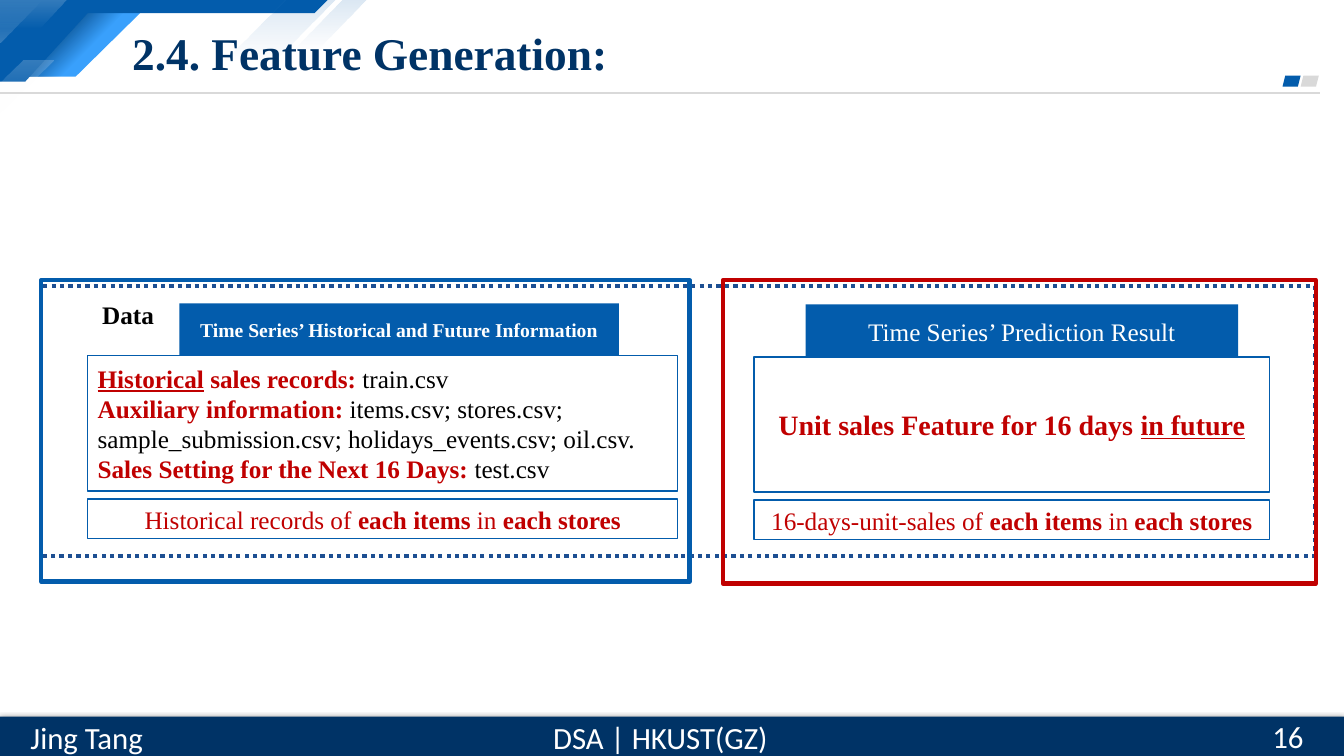
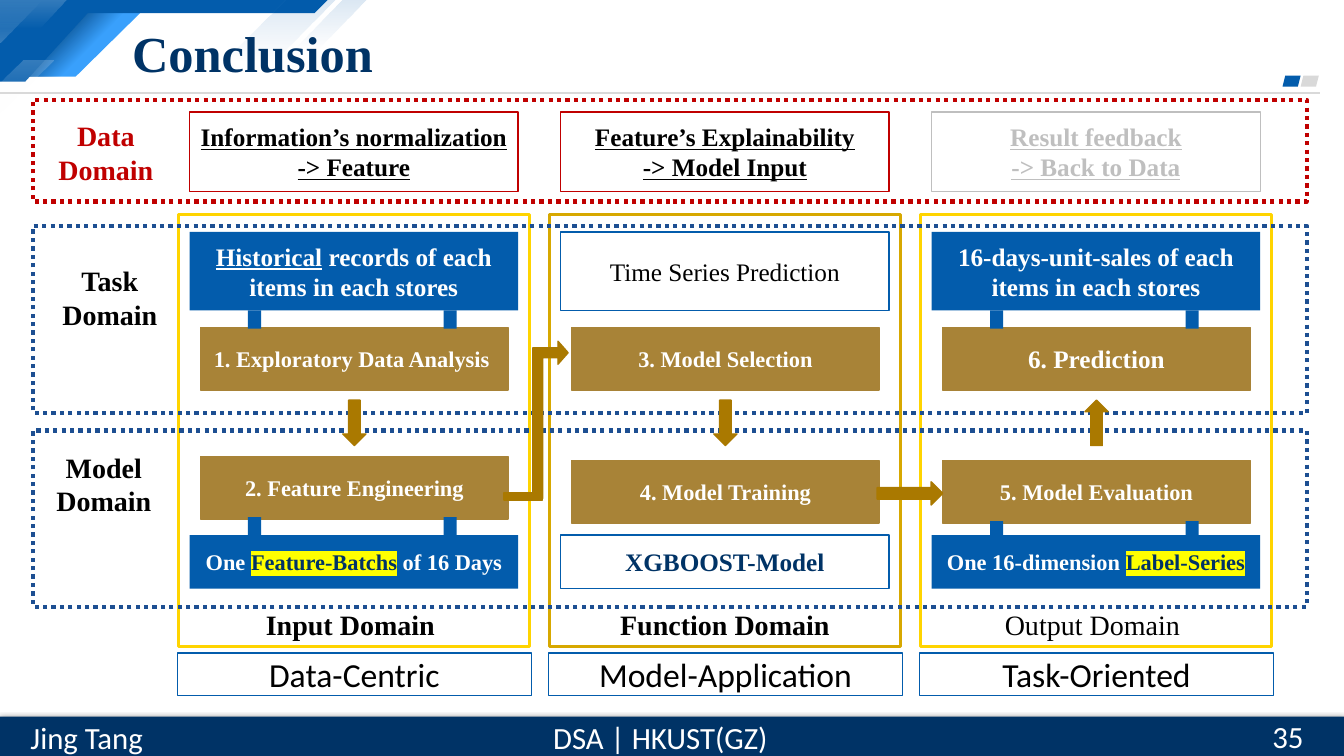
from pptx import Presentation
from pptx.dml.color import RGBColor
from pptx.enum.dml import MSO_LINE
from pptx.enum.shapes import MSO_CONNECTOR, MSO_SHAPE
from pptx.enum.text import MSO_ANCHOR, MSO_AUTO_SIZE, PP_ALIGN
from pptx.oxml import parse_xml
from pptx.oxml.ns import nsdecls, qn
from pptx.util import Inches, Pt

BLUE = RGBColor(0x03, 0x5C, 0xAC)
SKY = RGBColor(0x39, 0xA0, 0xFC)
DEEP = RGBColor(0x02, 0x45, 0x81)
NAVY = RGBColor(0x00, 0x33, 0x66)
DOTTED_BLUE = RGBColor(0x1D, 0x4F, 0x92)
RED = RGBColor(0xC0, 0x00, 0x00)
YELLOW = RGBColor(0xFF, 0xD4, 0x00)
GOLD = RGBColor(0xD7, 0xA8, 0x00)
BROWN = RGBColor(0xA8, 0x83, 0x37)
ARROW = RGBColor(0xAA, 0x79, 0x00)
MARKER = RGBColor(0xFF, 0xFF, 0x00)
GRAY = RGBColor(0xBF, 0xBF, 0xBF)
LIGHT = RGBColor(0xD9, 0xD9, 0xD9)
WHITE = RGBColor(0xFF, 0xFF, 0xFF)
BLACK = RGBColor(0x00, 0x00, 0x00)
SERIF, SANS = "Times New Roman", "Calibri"

# Shared decoration: outline points, then a colour or a fade (stops, angle)
WHITE_FADE = ([(0, WHITE, 20), (100, WHITE, 0)], 90)
BLUE_FADE = ([(0, BLUE, 15), (100, BLUE, 0)], 90)
BLADE = [(0.84, 0.07), (1.45, 0.07), (0.75, 0.76), (0.16, 0.76)]
CORNER_OUTLINES = [
    (BLADE, SKY),
    (BLADE, ([(29, DEEP, 100), (57, DEEP, 0)], 45)),
    ([(0, 0), (3.25, 0), (3.12, 0.13), (0.87, 0.13), (0.25, 0.81), (0, 0.81)], BLUE),
    ([(0, 0), (0.66, 0), (0.39, 0.28), (0, 0.28)], WHITE_FADE),
    ([(2.84, 0), (3.33, 0), (2.72, 0.61), (2.22, 0.61)], BLUE_FADE),
    ([(3.4, 0), (3.64, 0), (3.15, 0.49), (2.91, 0.49)], BLUE_FADE),
    ([(0.23, 0.6), (0.53, 0.6), (0, 1.13), (0, 0.83)], WHITE_FADE),
]
FOOTER_TEXTS = [("DSA | HKUST(GZ)", (5.36, 7.08, 2.38, 0.47)),
                ("Jing Tang", (0.16, 7.08, 1.4, 0.47))]

# Box styles
BLUE_BOX = dict(fill=BLUE, color=WHITE, bold=True)
WHITE_BOX = dict(fill=WHITE, line=BLUE)
RED_TEXT_BOX = dict(WHITE_BOX, color=RED)
STEP_BOX = dict(fill=BROWN, line=BROWN, color=WHITE, bold=True, size=16)
DOTTED = dict(width=3, dash=MSO_LINE.ROUND_DOT)
LABEL = dict(bold=True, size=20)
ARROW_STYLE = dict(fill=ARROW, line=ARROW)

# Text is a list of paragraphs, each a list of (text, changes) runs
BOLD, PLAIN = dict(bold=True), dict(color=BLACK, bold=False)
UNDERLINED = dict(underline=True)
MARKED = dict(color=NAVY, highlight=MARKER)
FEATURE_BOXES = [
    ((1.78, 3.01, 4.36, 0.53), "Time Series’ Historical and Future Information",
     dict(BLUE_BOX, size=14)),
    ((7.99, 3.02, 4.29, 0.53), "Time Series’ Prediction Result",
     dict(BLUE_BOX, bold=False)),
    ((0.41, 2.84, 12.63, 2.68), "", dict(DOTTED, line=DOTTED_BLUE)),
    ((0.41, 2.85, 1.72, 0.54), "Data", BOLD),
    ((7.48, 3.54, 5.11, 1.34),
     [[("Unit sales Feature for 16 days ", {}), ("in future", UNDERLINED)]],
     dict(RED_TEXT_BOX, **LABEL)),
    ((0.87, 4.95, 5.85, 0.39),
     [[("Historical records of ", {}), ("each items", BOLD), (" in", {}),
       (" each stores", BOLD)]], dict(RED_TEXT_BOX, anchor=MSO_ANCHOR.TOP)),
    ((7.48, 4.96, 5.11, 0.39),
     [[("16-days-unit-sales of ", {}), ("each items", BOLD), (" in ", {}),
       ("each stores", BOLD)]], dict(RED_TEXT_BOX, anchor=MSO_ANCHOR.TOP)),
    ((7.17, 2.78, 5.88, 3.01), "", dict(line=RED, width=3)),
    ((0.41, 2.78, 6.43, 2.99), "", dict(line=BLUE, width=3)),
    ((0.87, 3.53, 5.85, 1.34), [
        [("Historical", UNDERLINED), (" sales records: ", {}), ("train.csv", PLAIN)],
        [("Auxiliary information: ", {}),
         ("items.csv; stores.csv; sample_submission.csv; holidays_events.csv; oil.csv.",
          PLAIN)],
        [("Sales Setting for the Next 16 Days: ", {}), ("test.csv", PLAIN)],
    ], dict(RED_TEXT_BOX, bold=True, align=PP_ALIGN.LEFT)),
]

# Conclusion: three columns crossed by three bands
COLUMN_LEFT, COLUMN_STEP, COLUMN_WIDTH = 1.77, 3.68, 3.48
BANDS = [  # top, height, colour, label place, label
    (0.99, 1.01, RED, (0.47, 1.11, 1.16, 0.8), "Data\nDomain ", RED),
    (2.24, 1.86, DOTTED_BLUE, (0.51, 2.55, 1.16, 0.8), "Task Domain ", BLACK),
    (4.27, 1.75, DOTTED_BLUE, (0.46, 4.53, 1.21, 0.54), "Model \nDomain ", BLACK),
]
COLUMNS = [
    dict(domain="Input Domain ", frame=YELLOW, bold=True, focus="Data-Centric",
         data="Information’s normalization\n-> Feature", data_line=RED,
         data_color=BLACK, box_style=BLUE_BOX, tabs=True, arrow_turn=0,
         task=[[("Historical", UNDERLINED), (" records of each items in each stores", {})]],
         model=[[("One ", {}), ("Feature-Batchs", MARKED), (" of 16 Days", {})]],
         model_style=dict(BLUE_BOX, size=16),
         upper=("1. Exploratory Data Analysis ", 16), lower="2. Feature Engineering",
         lower_top=4.53),
    dict(domain="Function Domain", frame=GOLD, bold=True, focus="Model-Application",
         data="Feature’s Explainability\n-> Model Input", data_line=RED,
         data_color=BLACK, box_style=WHITE_BOX, tabs=False, arrow_turn=0,
         task="Time Series Prediction", model="XGBOOST-Model",
         model_style=dict(WHITE_BOX, color=NAVY, bold=True),
         upper=("3. Model Selection", 16), lower="4. Model Training", lower_top=4.57),
    dict(domain="Output Domain ", frame=YELLOW, bold=False, focus="Task-Oriented",
         data="Result feedback\n-> Back to Data", data_line=GRAY,
         data_color=GRAY, box_style=BLUE_BOX, tabs=True, arrow_turn=180,
         task="16-days-unit-sales of each items in each stores",
         model=[[("One 16-dimension ", {}), ("Label-Series", MARKED)]],
         model_style=dict(BLUE_BOX, size=16),
         upper=("6. Prediction", 18), lower="5. Model Evaluation", lower_top=4.57),
]


def format_run(run, size, color, bold, font, underline=False, highlight=None):
    run.font.size, run.font.bold, run.font.name = Pt(size), bold, font
    run.font.color.rgb = color
    if underline:
        run.font.underline = True
    if highlight is not None:
        mark = parse_xml(f'<a:highlight {nsdecls("a")}><a:srgbClr val="{highlight}"/></a:highlight>')
        run.font.fill  # the solid fill already exists and precedes the highlight
        run._r.get_or_add_rPr().find(qn("a:solidFill")).addnext(mark)


def paint(shape, fill=None, line=None, width=1, dash=None):
    shape.shadow.inherit = False
    if isinstance(fill, RGBColor):
        shape.fill.solid()
        shape.fill.fore_color.rgb = fill
    else:
        shape.fill.background()
    if isinstance(fill, tuple) and not isinstance(fill, RGBColor):
        stops, angle = fill
        stop_xml = "".join(
            f'<a:gs pos="{place * 1000}"><a:srgbClr val="{color}">'
            f'<a:alpha val="{alpha * 1000}"/></a:srgbClr></a:gs>'
            for place, color, alpha in stops)
        fade = parse_xml(f'<a:gradFill {nsdecls("a")} rotWithShape="1"><a:gsLst>{stop_xml}'
                         f'</a:gsLst><a:lin ang="{angle * 60000}" scaled="0"/></a:gradFill>')
        properties = shape.element.spPr
        properties.replace(properties.find(qn("a:noFill")), fade)
    if line is None:
        shape.line.fill.background()
    else:
        shape.line.color.rgb, shape.line.width = line, Pt(width)
        if dash is not None:
            shape.line.dash_style = dash


def add_figure(slide, kind, at, turn=0, flip=None, **style):
    shape = slide.shapes.add_shape(kind, *map(Inches, at))
    paint(shape, **style)
    shape.rotation = turn
    if flip:
        shape.element.spPr.xfrm.set(flip, "1")
    return shape


def add_box(slide, at, text="", size=18, color=BLACK, bold=False, font=SERIF,
            align=PP_ALIGN.CENTER, anchor=MSO_ANCHOR.MIDDLE, **style):
    if style:
        shape = add_figure(slide, MSO_SHAPE.RECTANGLE, at, **style)
    else:
        shape = slide.shapes.add_textbox(*map(Inches, at))
    if not text:
        return shape
    if isinstance(text, str):
        text = [[(line, {})] for line in text.split("\n")]
    frame = shape.text_frame
    frame.word_wrap, frame.vertical_anchor = True, anchor
    base = dict(size=size, color=color, bold=bold, font=font)
    for index, runs in enumerate(text):
        paragraph = frame.add_paragraph() if index else frame.paragraphs[0]
        paragraph.alignment = align
        for words, changes in runs:
            run = paragraph.add_run()
            run.text = words
            format_run(run, **{**base, **changes})
    return shape


def add_base_slide(presentation, title, title_size, number):
    slide = presentation.slides.add_slide(presentation.slide_layouts[5])
    # Corner decoration
    for points, fill in CORNER_OUTLINES:
        start, *rest = [(Inches(x), Inches(y)) for x, y in points]
        builder = slide.shapes.build_freeform(*start)
        builder.add_line_segments(rest, close=True)
        paint(builder.convert_to_shape(), fill)
    add_figure(slide, MSO_SHAPE.RIGHT_TRIANGLE, (0, 0, 0.42, 0.42),
               flip="flipV", fill=WHITE_FADE)
    # Title rule and its two marks
    rule = slide.shapes.add_connector(MSO_CONNECTOR.STRAIGHT, 0, Inches(0.92),
                                      Inches(13.09), Inches(0.92))
    rule.line.color.rgb, rule.line.width = LIGHT, Pt(1.5)
    rule.element.spPr.append(parse_xml(f'<a:effectLst {nsdecls("a")}/>'))
    for left, color in [(12.9, LIGHT), (12.72, BLUE)]:
        add_figure(slide, MSO_SHAPE.PARALLELOGRAM, (left, 0.75, 0.18, 0.11), fill=color)
    # Footer
    band = add_box(slide, (0, 7.11, 13.33, 0.39), fill=NAVY)
    band.element.spPr.find(qn("a:effectLst")).append(parse_xml(
        f'<a:outerShdw {nsdecls("a")} blurRad="{Pt(4.5)}" dist="{Pt(1.5)}" dir="5400000">'
        '<a:srgbClr val="000000"><a:alpha val="63000"/></a:srgbClr></a:outerShdw>'))
    for text, at in FOOTER_TEXTS:
        add_box(slide, at, text, size=22, color=WHITE, font=SANS)
    add_box(slide, (12.52, 7.1, 0.81, 0.4), number, size=22, color=WHITE, font=SANS,
            align=PP_ALIGN.LEFT)
    # Title
    heading = slide.shapes.title
    heading.left, heading.top, heading.width, heading.height = map(
        Inches, (1.21, 0.17, 10.21, 0.69))
    frame = heading.text_frame
    frame.text = title
    frame.word_wrap, frame.auto_size = True, MSO_AUTO_SIZE.NONE
    frame.vertical_anchor = MSO_ANCHOR.MIDDLE
    frame.paragraphs[0].alignment = PP_ALIGN.LEFT
    format_run(frame.paragraphs[0].runs[0], title_size, NAVY, True, SERIF)
    # The title lies above the decoration
    slide.shapes.element.append(heading.element)
    return slide


def add_column(slide, left, column):
    inner, step = left + 0.11, left + 0.22
    add_box(slide, (inner, 1.11, 3.26, 0.79),
            [[(line, UNDERLINED)] for line in column["data"].split("\n")],
            bold=True, color=column["data_color"], line=column["data_line"])
    add_box(slide, (inner, 2.3, 3.26, 0.78), column["task"], **column["box_style"])
    add_box(slide, (inner, 5.31, 3.26, 0.53), column["model"], **column["model_style"])
    words, size = column["upper"]
    add_box(slide, (step, 3.25, 3.05, 0.62), words, **dict(STEP_BOX, size=size))
    add_box(slide, (step, column["lower_top"], 3.05, 0.62), column["lower"], **STEP_BOX)
    if column["tabs"]:
        for top in (3.08, column["lower_top"] + 0.6):
            for offset in (0.69, 2.63):
                add_box(slide, (left + offset, top, 0.13, 0.18), fill=BLUE)
    add_figure(slide, MSO_SHAPE.DOWN_ARROW, (left + 1.63, 3.97, 0.23, 0.45),
               turn=column["arrow_turn"], **ARROW_STYLE)
    add_box(slide, (left - 0.01, 6.48, 3.51, 0.42), column["focus"], size=24,
            font=SANS, line=BLUE)


def main():
    presentation = Presentation()
    presentation.slide_width, presentation.slide_height = Inches(13.33), Inches(7.5)

    # Feature generation
    slide = add_base_slide(presentation, "2.4. Feature Generation:", 32.4, "16")
    for at, text, style in FEATURE_BOXES:
        add_box(slide, at, text, **style)

    # Conclusion
    slide = add_base_slide(presentation, "Conclusion", 36, "35")
    lefts = [COLUMN_LEFT + COLUMN_STEP * index for index in range(len(COLUMNS))]
    for left, column in zip(lefts, COLUMNS):
        add_box(slide, (left, 2.13, COLUMN_WIDTH, 4.28), column["domain"], size=20,
                bold=column["bold"], anchor=MSO_ANCHOR.BOTTOM,
                line=column["frame"], width=2.25)
    for top, height, line, label_at, label, color in BANDS:
        add_box(slide, (0.33, top, 12.63, height), line=line, **DOTTED)
        add_box(slide, label_at, label, color=color, **LABEL)
    for left, column in zip(lefts, COLUMNS):
        add_column(slide, left, column)

    # Arrows between the columns
    bent = add_figure(slide, MSO_SHAPE.BENT_UP_ARROW, (4.68, 3.99, 1.56, 0.35),
                      turn=90, flip="flipH", **ARROW_STYLE)
    for index, value in enumerate((0.277, 0.326, 0.288)):
        bent.adjustments[index] = value
    add_box(slide, (5, 4.89, 0.38, 0.07), **ARROW_STYLE)
    add_figure(slide, MSO_SHAPE.DOWN_ARROW, (8.91, 4.57, 0.23, 0.65), turn=270, **ARROW_STYLE)

    presentation.save("out.pptx")


if __name__ == "__main__":
    main()
